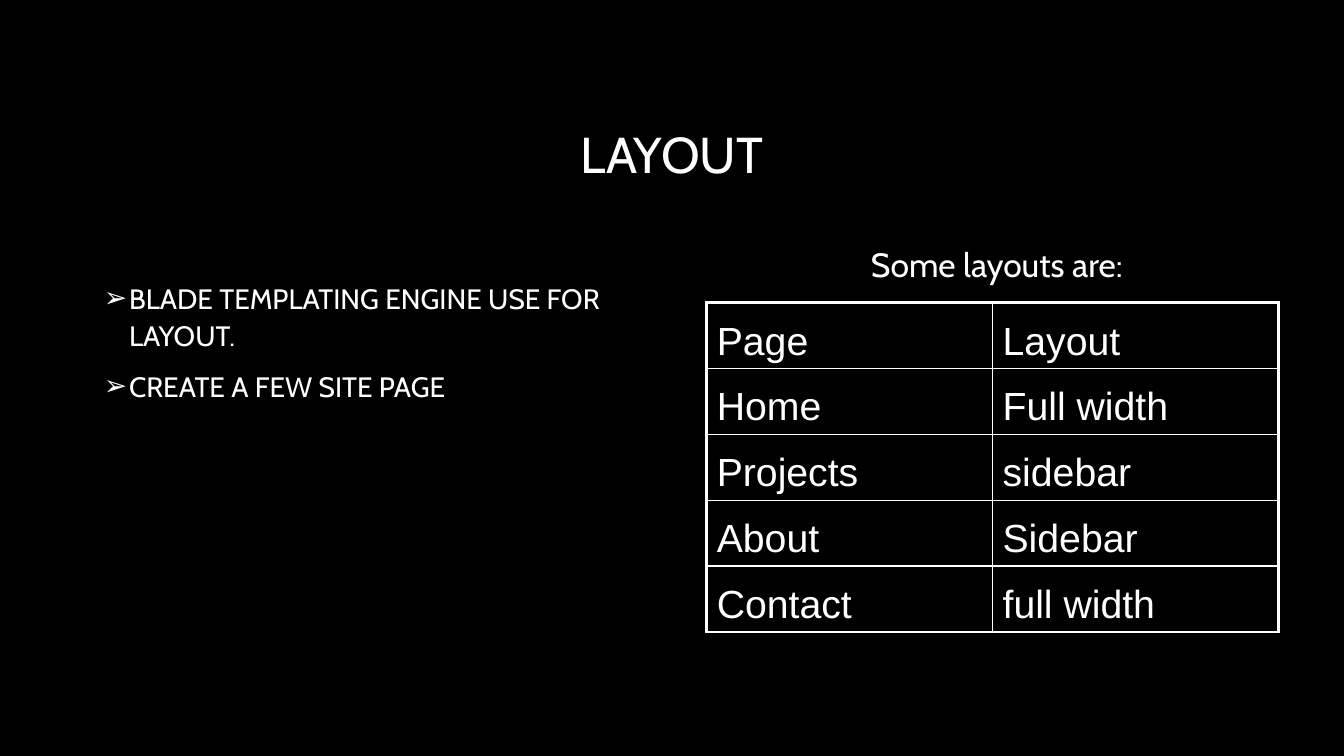
from dataclasses import dataclass

from lxml.etree import SubElement
from pptx import Presentation
from pptx.dml.color import RGBColor
from pptx.enum.text import MSO_ANCHOR as Anchor, MSO_AUTO_SIZE as AutoSize, PP_ALIGN as Align
from pptx.oxml.ns import qn
from pptx.shapes.base import BaseShape
from pptx.slide import Slide
from pptx.table import _Cell as Cell
from pptx.text.text import _Paragraph as Paragraph
from pptx.util import Inches, Pt

WHITE = "FFFFFF"
BLACK = "000000"
THIN, THICK = 1, 2.25
BULLETS = ["BLADE TEMPLATING ENGINE USE FOR LAYOUT.", "CREATE A FEW SITE PAGE"]
PAGE_LAYOUTS = [
    ("Page", "Layout"),
    ("Home", "Full width"),
    ("Projects", "sidebar"),
    ("About", "Sidebar"),
    ("Contact", "full width"),
]


@dataclass(frozen=True)
class Box:
    left: float
    top: float
    width: float
    height: float


@dataclass(frozen=True)
class TextStyle:
    font: str
    size: float
    color: str = WHITE


TITLE = TextStyle("Cabin", 36)
BODY = TextStyle("Cabin", 20)
CAPTION = TextStyle("Cabin", 24)
CELL = TextStyle("Arial", 28)


def rgb(color: str) -> RGBColor:
    return RGBColor.from_string(color)


def format_runs(paragraph: Paragraph, style: TextStyle) -> None:
    for run in paragraph.runs:
        run.font.name = style.font
        run.font.size = Pt(style.size)
        run.font.color.rgb = rgb(style.color)


def place(shape: BaseShape, box: Box) -> None:
    shape.left, shape.top = Inches(box.left), Inches(box.top)
    shape.width, shape.height = Inches(box.width), Inches(box.height)


def add_bullet(paragraph: Paragraph, symbol: str, color: str) -> None:
    properties = paragraph._p.get_or_add_pPr()
    properties.set("marL", str(Inches(0.25)))
    properties.set("indent", str(-Inches(0.25)))
    bullet_color = SubElement(properties, qn("a:buClr"))
    SubElement(bullet_color, qn("a:srgbClr"), val=color)
    SubElement(properties, qn("a:buFont"), typeface="Arial")
    SubElement(properties, qn("a:buChar"), char=symbol)


def set_borders(cell: Cell, widths: dict[str, float]) -> None:
    properties = cell._tc.get_or_add_tcPr()
    for side, width in widths.items():
        line = SubElement(properties, qn(f"a:ln{side}"), w=str(Pt(width)))
        fill = SubElement(line, qn("a:solidFill"))
        SubElement(fill, qn("a:srgbClr"), val=WHITE)


def add_title(slide: Slide, text: str, box: Box) -> None:
    title = slide.shapes.title
    place(title, box)
    frame = title.text_frame
    frame.text = text
    frame.auto_size = AutoSize.NONE
    frame.vertical_anchor = Anchor.MIDDLE
    paragraph = frame.paragraphs[0]
    paragraph.alignment = Align.CENTER
    paragraph.line_spacing = 0.9
    format_runs(paragraph, TITLE)


def add_body(slide: Slide, items: list[str], box: Box) -> None:
    body = slide.placeholders[1]
    place(body, box)
    frame = body.text_frame
    frame.text = "\n".join(items)
    frame.auto_size = AutoSize.NONE
    frame.vertical_anchor = Anchor.TOP
    for paragraph in frame.paragraphs:
        paragraph.line_spacing = 1.1
        paragraph.space_before = Pt(10)
        add_bullet(paragraph, "➢", WHITE)
        format_runs(paragraph, BODY)


def add_caption(slide: Slide, text: str, box: Box) -> None:
    caption = slide.shapes.add_textbox(0, 0, 0, 0)
    place(caption, box)
    frame = caption.text_frame
    frame.word_wrap = True
    frame.text = text
    paragraph = frame.paragraphs[0]
    paragraph.space_before = Pt(10)
    format_runs(paragraph, CAPTION)


def add_layout_table(slide: Slide, rows: list[tuple[str, str]], box: Box) -> None:
    last_row, last_column = len(rows) - 1, len(rows[0]) - 1
    table = slide.shapes.add_table(
        len(rows), len(rows[0]),
        Inches(box.left), Inches(box.top), Inches(box.width), Inches(box.height),
    ).table
    table.first_row = table.horz_banding = False
    for row, values in enumerate(rows):
        for column, value in enumerate(values):
            cell = table.cell(row, column)
            cell.text = value
            cell.vertical_anchor = Anchor.BOTTOM
            outer = {"L": column == 0, "R": column == last_column,
                     "T": row == 0, "B": row == last_row}
            set_borders(cell, {side: THICK if edge else THIN for side, edge in outer.items()})
            cell.fill.background()
            paragraph = cell.text_frame.paragraphs[0]
            paragraph.space_before = Pt(0.2 * CELL.size)
            format_runs(paragraph, CELL)


def main() -> None:
    presentation = Presentation()
    presentation.slide_width, presentation.slide_height = Inches(13.33), Inches(7.5)
    slide = presentation.slides.add_slide(presentation.slide_layouts[1])
    slide.background.fill.solid()
    slide.background.fill.fore_color.rgb = rgb(BLACK)
    add_title(slide, "LAYOUT", Box(1, 0.68, 11.33, 1.75))
    add_body(slide, BULLETS, Box(0.93, 2.71, 5.65, 1.4))
    add_layout_table(slide, PAGE_LAYOUTS, Box(7.01, 3, 5.67, 3.27))
    add_caption(slide, "Some layouts are:", Box(8.54, 2.37, 4.33, 0.52))
    presentation.save("out.pptx")


if __name__ == "__main__":
    main()
